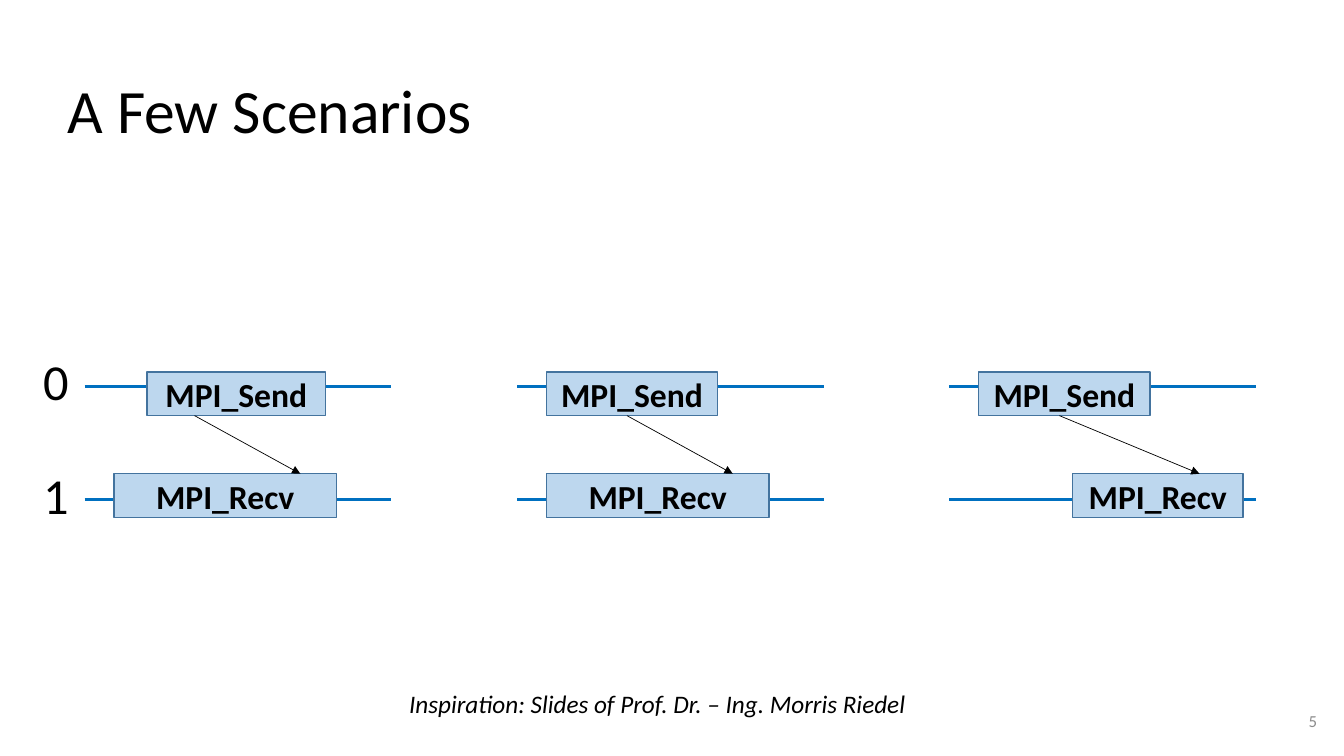
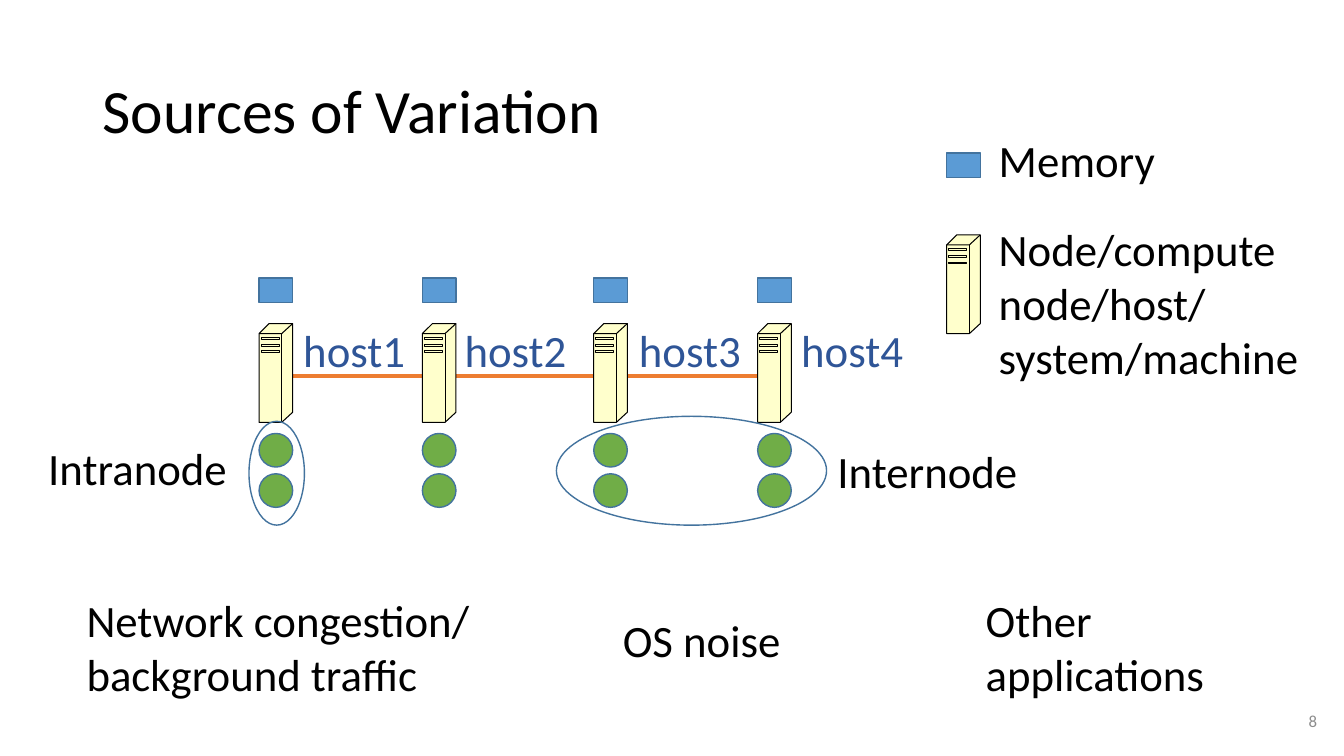
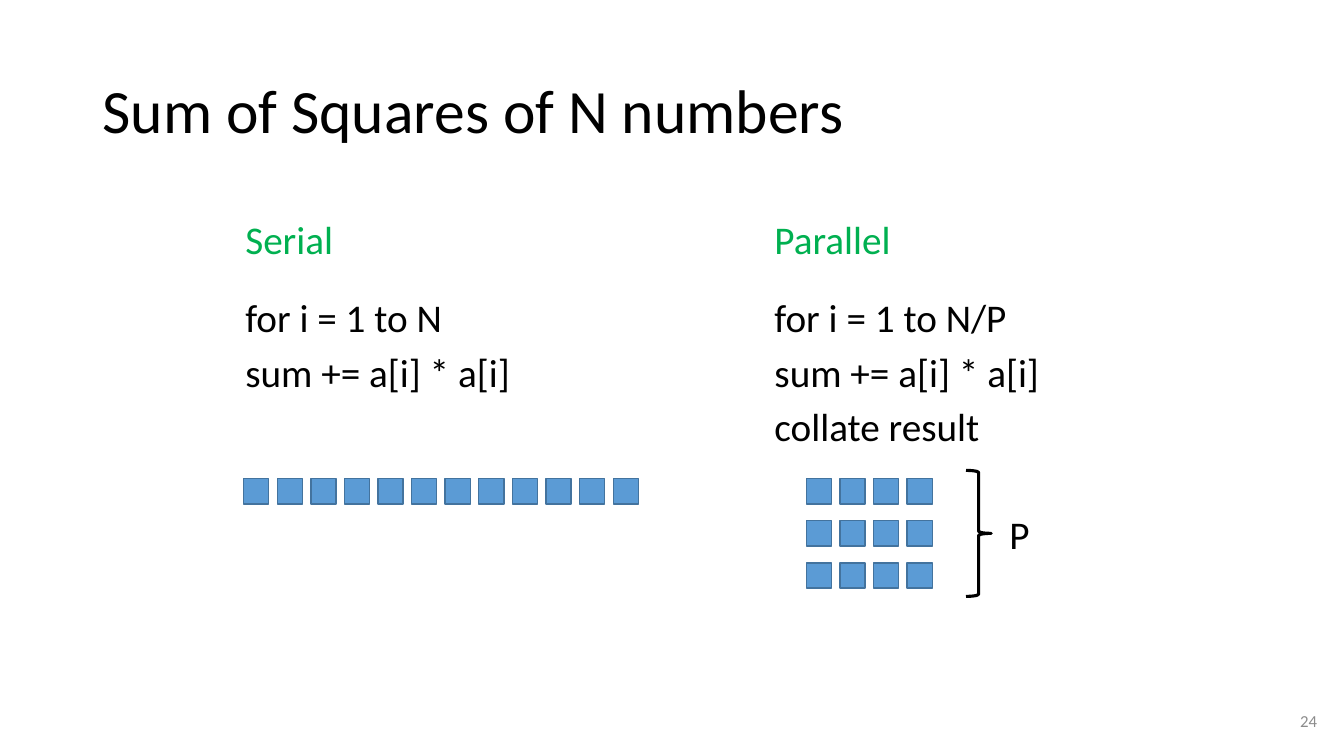
from dataclasses import dataclass
from itertools import product
from typing import NamedTuple, Optional

from lxml import etree
from pptx import Presentation
from pptx import util as u
from pptx.dml.color import RGBColor
from pptx.enum import shapes, text
from pptx.oxml.ns import qn

COLUMNS, ROWS = 160, 90
SLIDE_WIDTH, SLIDE_HEIGHT = u.Inches(40 / 3), u.Inches(7.5)


@dataclass(frozen=True)
class Theme:
    font: str = "Calibri"
    ink: str = "000000"
    page_number: str = "8C8C8C"
    outline: str = "43739E"
    call: str = "BDD7EE"
    timeline: str = "0070C0"
    memory: str = "5B9BD5"
    process: str = "70AD47"
    server: str = "FFFFCC"
    network: str = "ED7D31"
    host: str = "2F5597"
    heading: str = "00B050"
    title_size: int = 44
    rank_size: int = 36
    label_size: int = 32
    body_size: int = 28
    call_size: int = 24
    credit_size: int = 18
    page_size: int = 12


THEME = Theme()


class Box(NamedTuple):
    """Left, top, width and height in grid columns and rows."""
    left: float
    top: float
    width: float
    height: float


class Point(NamedTuple):
    column: float
    row: float


class Style(NamedTuple):
    size: float
    color: str = THEME.ink
    bold: bool = False
    italic: bool = False


class Scenario(NamedTuple):
    """Offsets and widths in columns, counted from the start of the timeline."""
    send_left: float
    send_width: float
    recv_left: float
    recv_width: float
    arrow_end: float


class Host(NamedTuple):
    name: str
    left: float
    label_left: float


class Label(NamedTuple):
    lines: tuple[str, ...]
    box: Box


class Algorithm(NamedTuple):
    heading: str
    steps: tuple[str, ...]
    box: Box


LABEL = Style(THEME.label_size)
TITLE_BOX = Box(11, 4.8, 138, 17.4)
PAGE_BOX = Box(113, 83.4, 45, 4.8)

SCENARIOS = (
    Scenario(7.44, 21.24, 3.48, 26.5, 25.68),
    Scenario(3.48, 20.4, 3.48, 26.5, 25.68),
    Scenario(3.48, 20.4, 14.64, 20.3, 29.76),
)
HOSTS = (
    Host("host1", 30.84, 34.92),
    Host("host2", 50.28, 54.12),
    Host("host3", 70.68, 74.88),
    Host("host4", 90.2, 94.2),
)
VARIATION_LABELS = (
    Label(("Memory",), Box(117.72, 15.24, 27.24, 7.7)),
    Label(("Node/compute node/host/\vsystem/machine",), Box(117.72, 25.8, 38.64, 20.64)),
    Label(("Internode",), Box(98.52, 52.2, 42.1, 7.7)),
    Label(("Intranode",), Box(4.56, 51.84, 42.1, 7.7)),
    Label(("Network congestion/", "background traffic"), Box(9.12, 69.96, 54.24, 14.16)),
    Label(("OS noise",), Box(72.96, 72.36, 38.64, 7.7)),
    Label(("Other applications",), Box(116.16, 69.96, 38.64, 14.16)),
)
ALGORITHMS = (
    Algorithm("Serial", ("for i = 1 to N", "sum += a[i] * a[i]"), Box(28, 25, 50.4, 46.5)),
    Algorithm("Parallel", ("for i = 1 to N/P", "sum += a[i] * a[i]", "collate result"),
              Box(91, 25, 45, 46.5)),
)


def x(columns: float) -> int:
    return round(SLIDE_WIDTH * columns / COLUMNS)


def y(rows: float) -> int:
    return round(SLIDE_HEIGHT * rows / ROWS)


def emu(box: Box) -> tuple[int, int, int, int]:
    return x(box.left), y(box.top), x(box.width), y(box.height)


def place(shape, box: Box) -> None:
    shape.left, shape.top, shape.width, shape.height = emu(box)


def add_run(paragraph, words: str, style: Style) -> None:
    """Add words in one style; a vertical tab becomes a line break."""
    for number, line in enumerate(words.split("\v")):
        if number:
            paragraph.add_line_break()
        run = paragraph.add_run()
        run.text = line
        run.font.name = THEME.font
        run.font.size = u.Pt(style.size)
        run.font.bold = style.bold
        run.font.italic = style.italic
        run.font.color.rgb = RGBColor.from_string(style.color)


def add_paragraph(frame, number: int):
    return frame.paragraphs[0] if number == 0 else frame.add_paragraph()


def add_text(slide, lines: tuple[str, ...], box: Box, style: Style, wrap: bool = True):
    frame = slide.shapes.add_textbox(*emu(box)).text_frame
    frame.word_wrap = wrap
    frame.auto_size = text.MSO_AUTO_SIZE.SHAPE_TO_FIT_TEXT
    for number, line in enumerate(lines):
        add_run(add_paragraph(frame, number), line, style)
    return frame


def paint(shape, fill: Optional[str], line: str, width: float) -> None:
    shape.shadow.inherit = False
    if fill:
        shape.fill.solid()
        shape.fill.fore_color.rgb = RGBColor.from_string(fill)
    else:
        shape.fill.background()
    shape.line.color.rgb = RGBColor.from_string(line)
    shape.line.width = u.Pt(width)


def add_shape(slide, kind, box: Box, fill: Optional[str] = None,
              line: str = THEME.outline, width: float = 1):
    shape = slide.shapes.add_shape(kind, *emu(box))
    paint(shape, fill, line, width)
    return shape


def add_line(slide, start: Point, end: Point, color: str, width: float,
             arrow: bool = False) -> None:
    line = slide.shapes.add_connector(
        shapes.MSO_CONNECTOR.STRAIGHT, x(start.column), y(start.row), x(end.column), y(end.row))
    line.line.color.rgb = RGBColor.from_string(color)
    line.line.width = u.Pt(width)
    if arrow:
        etree.SubElement(line.line._get_or_add_ln(), qn("a:tailEnd"), type="triangle")
    etree.SubElement(line._element.spPr, qn("a:effectLst"))


def add_outline(slide, origin: Point, contours: list[list[Point]], closed: bool,
                fill: Optional[str]) -> None:
    """Draw contours, given relative to origin, as one freeform."""
    moved = [[(x(origin.column + point.column), y(origin.row + point.row)) for point in contour]
             for contour in contours]
    builder = slide.shapes.build_freeform(*moved[0][0])
    for number, contour in enumerate(moved):
        if number:
            builder.move_to(*contour[0])
        builder.add_line_segments(contour[1:], close=closed)
    paint(builder.convert_to_shape(), fill, THEME.ink, 0.75)


def add_server(slide, origin: Point) -> None:
    front, right, depth, bottom = 2.7, 4, 1.2, 11.76
    corner = Point(front, depth)
    case = [Point(0, depth), Point(depth, 0), Point(right, 0), Point(right, bottom - depth),
            Point(front, bottom), Point(0, bottom)]
    edges = [[Point(0, depth), corner, Point(right, 0)], [corner, Point(front, bottom)]]
    for number in range(3):
        top = 1.68 + 0.78 * number
        low = top + 0.22
        edges.append([Point(0.24, top), Point(2.4, top), Point(2.4, low),
                      Point(0.24, low), Point(0.24, top)])
    add_outline(slide, origin, [case], True, THEME.server)
    add_outline(slide, origin, edges, False, None)


def add_memory(slide, origin: Point) -> None:
    add_shape(slide, shapes.MSO_SHAPE.RECTANGLE, Box(*origin, 4, 2.9), THEME.memory)


def add_slide(presentation, layout: str, title: str, page: int, title_box: Box = TITLE_BOX):
    slide = presentation.slides.add_slide(presentation.slide_layouts.get_by_name(layout))
    place(slide.shapes.title, title_box)
    frame = slide.shapes.title.text_frame
    frame.auto_size = text.MSO_AUTO_SIZE.NONE
    frame.vertical_anchor = text.MSO_ANCHOR.MIDDLE
    paragraph = frame.paragraphs[0]
    paragraph.alignment = text.PP_ALIGN.LEFT
    paragraph.line_spacing = 0.9
    add_run(paragraph, title, Style(THEME.title_size))

    number = add_text(slide, (str(page),), PAGE_BOX, Style(THEME.page_size, THEME.page_number))
    number.auto_size = text.MSO_AUTO_SIZE.NONE
    number.vertical_anchor = text.MSO_ANCHOR.MIDDLE
    number.paragraphs[0].alignment = text.PP_ALIGN.RIGHT
    return slide


def add_call(slide, name: str, box: Box) -> None:
    shape = add_shape(slide, shapes.MSO_SHAPE.RECTANGLE, box, THEME.call)
    shape.text_frame.vertical_anchor = text.MSO_ANCHOR.MIDDLE
    paragraph = shape.text_frame.paragraphs[0]
    paragraph.alignment = text.PP_ALIGN.CENTER
    add_run(paragraph, name, Style(THEME.call_size, bold=True))


def build_scenarios(presentation) -> None:
    slide = add_slide(presentation, "Title Only", "A Few Scenarios", 5,
                      Box(6.84, 4.8, 131.9, 17.4))
    send_top, recv_top, call_height = 44.28, 56.4, 5.2
    for number, scenario in enumerate(SCENARIOS):
        start = 10.08 + 51.48 * number
        for row in (46, 59.5):
            add_line(slide, Point(start, row), Point(start + 36.5, row), THEME.timeline, 2.25)
        add_call(slide, "MPI_Send", Box(start + scenario.send_left, send_top,
                                        scenario.send_width, call_height))
        add_call(slide, "MPI_Recv", Box(start + scenario.recv_left, recv_top,
                                        scenario.recv_width, call_height))
        add_line(slide, Point(start + 13.08, send_top + call_height),
                 Point(start + scenario.arrow_end, recv_top), THEME.ink, 0.5, arrow=True)
    add_text(slide, ("Inspiration: Slides of Prof. Dr. – Ing. Morris Riedel",),
             Box(47.52, 81.36, 62.16, 4.8), Style(THEME.credit_size, italic=True), wrap=False)
    for rank, top in (("0", 41.04), ("1", 54.72)):
        add_text(slide, (rank,), Box(3.96, top, 5.5, 8.5), Style(THEME.rank_size), wrap=False)


def build_variation(presentation) -> None:
    slide = add_slide(presentation, "Title Only", "Sources of Variation", 8)
    oval = shapes.MSO_SHAPE.OVAL
    add_line(slide, Point(HOSTS[0].left, 44.8), Point(HOSTS[-1].left + 4, 44.8),
             THEME.network, 3)
    for host in HOSTS:
        add_server(slide, Point(host.left, 38.52))
        add_memory(slide, Point(host.left, 33.12))
        for top in (51.6, 56.4):
            add_shape(slide, oval, Box(host.left, top, 4, 4), THEME.process)
        add_text(slide, (host.name,), Box(host.label_left, 37.8, 14.64, 7.7),
                 Style(THEME.label_size, THEME.host), wrap=False)
    for group in (Box(66.24, 49.56, 32.16, 12.96), Box(29.64, 50.16, 6.6, 12.36)):
        add_shape(slide, oval, group)
    add_memory(slide, Point(112.7, 18.24))
    add_server(slide, Point(112.7, 27.96))
    for label in VARIATION_LABELS:
        add_text(slide, label.lines, label.box, LABEL)


def fill_algorithm(placeholder, algorithm: Algorithm) -> None:
    place(placeholder, algorithm.box)
    frame = placeholder.text_frame
    frame.auto_size = text.MSO_AUTO_SIZE.NONE
    for number, line in enumerate((algorithm.heading, *algorithm.steps)):
        paragraph = add_paragraph(frame, number)
        etree.SubElement(paragraph._p.get_or_add_pPr(), qn("a:buNone"))
        if number < 2:
            paragraph.space_before = u.Pt(22 * number)
        color = THEME.ink if number else THEME.heading
        add_run(paragraph, line, Style(THEME.body_size, color))


def add_numbers(slide, origin: Point, columns: int, rows: int) -> None:
    for row, column in product(range(rows), range(columns)):
        add_shape(slide, shapes.MSO_SHAPE.RECTANGLE,
                  Box(origin.column + 4 * column, origin.row + 5 * row, 3, 3), THEME.memory)


def build_sum(presentation) -> None:
    slide = add_slide(presentation, "Two Content", "Sum of Squares of N numbers", 24)
    for index, algorithm in enumerate(ALGORITHMS, start=1):
        fill_algorithm(slide.placeholders[index], algorithm)
    add_numbers(slide, Point(29, 57), columns=12, rows=1)
    add_numbers(slide, Point(96, 57), columns=4, rows=3)
    add_shape(slide, shapes.MSO_SHAPE.RIGHT_BRACE, Box(115, 56, 3, 15), line=THEME.ink, width=2.25)
    add_text(slide, ("P",), Box(119, 60.12, 4.44, 6.84), Style(THEME.body_size))


def main() -> None:
    presentation = Presentation()
    presentation.slide_width, presentation.slide_height = SLIDE_WIDTH, SLIDE_HEIGHT
    build_scenarios(presentation)
    build_variation(presentation)
    build_sum(presentation)
    presentation.save("out.pptx")


if __name__ == "__main__":
    main()
